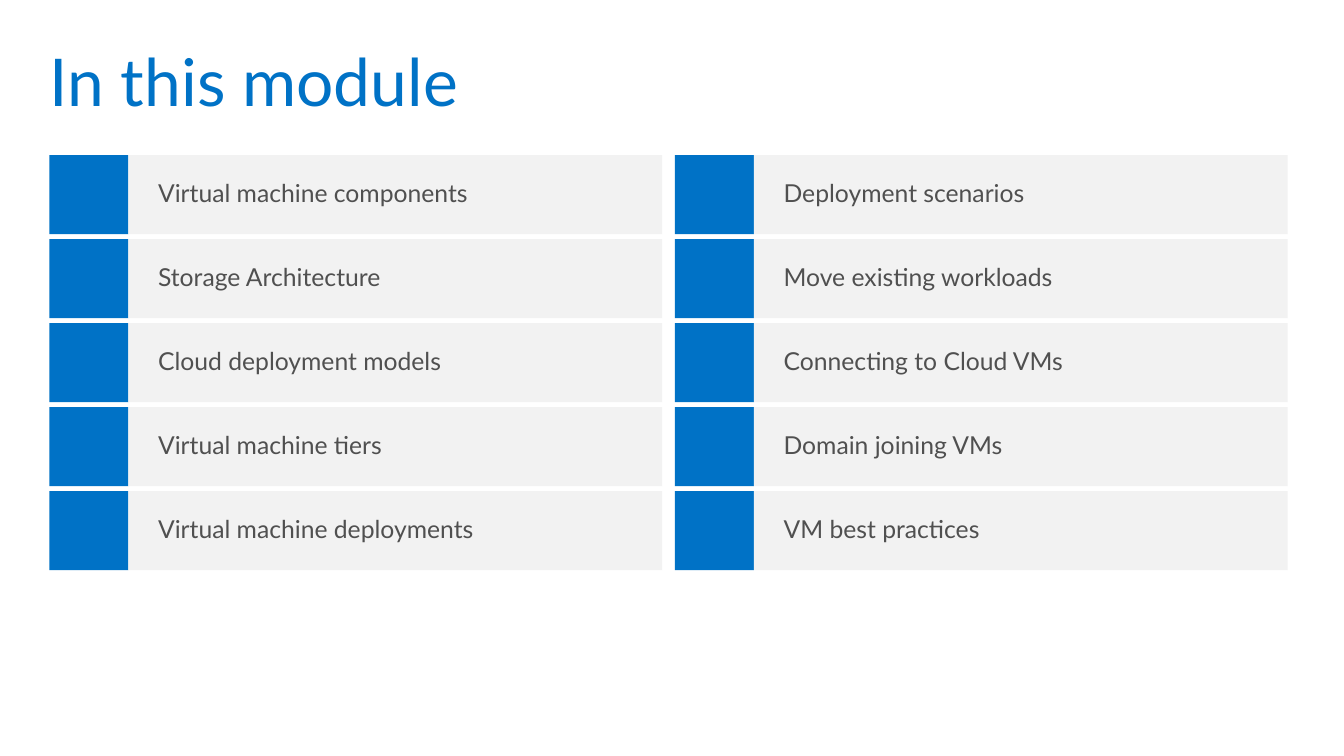
from dataclasses import dataclass

from pptx import Presentation
from pptx.dml.color import RGBColor
from pptx.enum.shapes import MSO_SHAPE
from pptx.enum.text import MSO_ANCHOR, MSO_AUTO_SIZE, PP_ALIGN
from pptx.util import Inches, Pt

RECT = MSO_SHAPE.RECTANGLE
TOP, MIDDLE = MSO_ANCHOR.TOP, MSO_ANCHOR.MIDDLE
NO_FIT = MSO_AUTO_SIZE.NONE
LEFT = PP_ALIGN.LEFT


@dataclass(frozen=True)
class Theme:
    """Colours, font and type sizes of the slide."""
    accent: str = "0072C6"
    panel: str = "F2F2F2"
    text: str = "505050"
    font: str = "Lato"
    title_size: int = 48
    label_size: int = 18
    line_spacing: float = 0.9


class AgendaSlide:
    """Draws the agenda elements on one slide in a given theme."""

    def __init__(self, prs, theme):
        """Add a title-only slide to the presentation."""
        self.theme = theme
        self.slide = prs.slides.add_slide(prs.slide_layouts[5])

    def set_text(self, s, text, size, color, anchor, inset):
        """Put one formatted line of text into a shape."""
        tf = s.text_frame
        frame = {"word_wrap": True, "auto_size": NO_FIT,
                 "vertical_anchor": anchor,
                 "margin_left": Inches(inset), "margin_right": Inches(inset),
                 "margin_top": Inches(0.1), "margin_bottom": Inches(0.1)}
        for name, value in frame.items():
            setattr(tf, name, value)
        p = tf.paragraphs[0]
        p.alignment = LEFT
        p.line_spacing = self.theme.line_spacing
        r = p.add_run()
        r.text = text
        for name, value in {"name": self.theme.font, "size": Pt(size)}.items():
            setattr(r.font, name, value)
        r.font.color.rgb = RGBColor.from_string(color)

    def title(self, text, x, y, w, h):
        """Place and fill the title placeholder."""
        s = self.slide.shapes.title
        box = {"left": x, "top": y, "width": w, "height": h}
        for name, value in box.items():
            setattr(s, name, Inches(value))
        self.set_text(s, text, self.theme.title_size, self.theme.accent, TOP, 0.1)

    def rect(self, x, y, w, h, fill):
        """Add a flat rectangle without outline."""
        s = self.slide.shapes.add_shape(
            RECT, Inches(x), Inches(y), Inches(w), Inches(h))
        s.shadow.inherit = False
        s.fill.solid()
        s.fill.fore_color.rgb = RGBColor.from_string(fill)
        s.line.fill.background()
        return s

    def topic(self, text, x, y, tile=0.8, width=5.4):
        """Add an accent tile followed by a topic label."""
        self.rect(x, y, tile, tile, self.theme.accent)
        s = self.rect(x + tile, y, width, tile, self.theme.panel)
        self.set_text(s, text, self.theme.label_size, self.theme.text, MIDDLE, 0.3)


COLUMNS = {
    0.5: ["Virtual machine components", "Storage Architecture",
          "Cloud deployment models", "Virtual machine tiers",
          "Virtual machine deployments"],
    6.83: ["Deployment scenarios", "Move existing workloads",
           "Connecting to Cloud VMs", "Domain joining VMs",
           "VM best practices"],
}
FIRST_ROW = 1.57
ROW_STEP = 0.85


def main():
    """Build the agenda slide and save it."""
    prs = Presentation()
    prs.slide_width, prs.slide_height = Inches(13.6), Inches(7.65)
    agenda = AgendaSlide(prs, Theme())
    agenda.title("In this module", 0.4, 0.4, 12.8, 1)
    for x, topics in COLUMNS.items():
        for row, text in enumerate(topics):
            agenda.topic(text, x, FIRST_ROW + row * ROW_STEP)
    prs.save("out.pptx")


if __name__ == "__main__":
    main()
